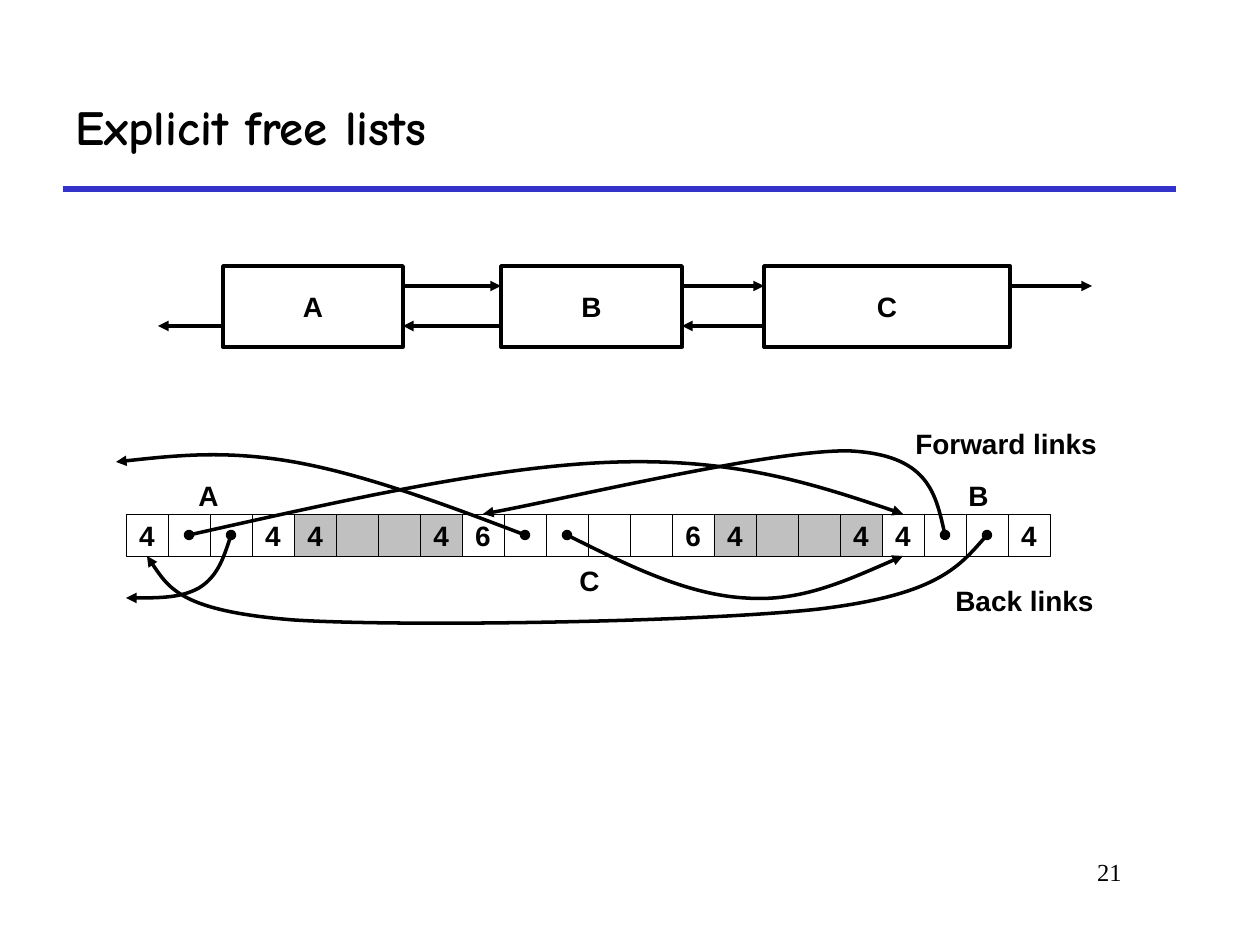
from lxml.etree import SubElement
from pptx import Presentation
from pptx.dml.color import RGBColor
from pptx.enum.shapes import MSO_CONNECTOR, MSO_SHAPE
from pptx.enum.text import MSO_ANCHOR, PP_ALIGN
from pptx.oxml.ns import qn
from pptx.util import Emu, Pt

SCALE = 914400 / 126  # EMU per px
BLACK, WHITE, GRAY, BLUE = "000000", "FFFFFF", "C0C0C0", "3333CC"

CELL = 42
ROW_LEFT, ROW_TOP = 126, 514
ROW_MIDDLE, ROW_BOTTOM = ROW_TOP + CELL // 2, ROW_TOP + CELL

# Memory blocks in address order: number of words, fill
BLOCKS = [(4, WHITE), (4, GRAY), (6, WHITE), (4, GRAY), (4, WHITE)]

# List nodes: label, left, width
NODES = [("A", 223, 180), ("B", 501, 181), ("C", 764, 246)]
NODE_TOP, NODE_HEIGHT = 266, 81
NEXT_Y, PREVIOUS_Y = 286, 326

# Bezier links: start, then two control points and an end for each segment
LINKS = [
    [(189, ROW_MIDDLE), (345, 500), (500, 465), (620, 462),
     (738, 459), (820, 486), (903, ROW_TOP)],
    [(945, ROW_MIDDLE), (936, 495), (927, 455), (850, 451),
     (774, 449), (544, 504), (483, ROW_TOP)],
    [(987, ROW_MIDDLE), (960, 566), (935, 595), (819, 609),
     (703, 622), (406, 627), (294, 620),
     (181, 611), (165, 583), (147, ROW_BOTTOM)],
    [(567, ROW_MIDDLE), (629, 566), (689, 595), (746, 598),
     (801, 602), (852, 578), (903, ROW_BOTTOM)],
    [(525, ROW_MIDDLE), (444, 504), (362, 474), (294, 462),
     (226, 450), (170, 456), (116, 462)],
    [(231, ROW_MIDDLE), (224, 557), (217, 577), (199, 588),
     (181, 598), (154, 598), (126, 598)],
]

LABELS = [
    ("Forward links", 903, 420, 207), ("Back links", 943, 577, 163),
    ("A", 186, 472, 45), ("B", 956, 472, 45), ("C", 567, 557, 45),
]


def px(value):
    return Emu(round(value * SCALE))


def color(value):
    return RGBColor.from_string(value)


def set_text(shape, text, size=16, font="Arial", bold=True,
             align=PP_ALIGN.CENTER, anchor=MSO_ANCHOR.MIDDLE, wrap=False):
    frame = shape.text_frame
    frame.word_wrap = wrap
    frame.vertical_anchor = anchor
    paragraph = frame.paragraphs[0]
    paragraph.text = text
    paragraph.alignment = align
    paragraph.font.name = font
    paragraph.font.size = Pt(size)
    paragraph.font.bold = bold
    paragraph.font.color.rgb = color(BLACK)


def add_text(slide, text, left, top, width, height, **style):
    shape = slide.shapes.add_textbox(px(left), px(top), px(width), px(height))
    set_text(shape, text, **style)


def add_box(slide, text, left, top, width, height, fill, line_width):
    shape = slide.shapes.add_shape(
        MSO_SHAPE.RECTANGLE, px(left), px(top), px(width), px(height))
    shape.shadow.inherit = False
    shape.fill.solid()
    shape.fill.fore_color.rgb = color(fill)
    shape.line.color.rgb = color(BLACK)
    shape.line.width = Pt(line_width)
    if text:
        set_text(shape, text)


def add_ends(shape, **ends):
    line = shape.element.xpath(".//a:ln")[0]
    for end, kind in ends.items():
        SubElement(line, qn(f"a:{end}"), type=kind)


def add_line(slide, start_x, end_x, y, line_color=BLACK, width=2):
    connector = slide.shapes.add_connector(
        MSO_CONNECTOR.STRAIGHT, px(start_x), px(y), px(end_x), px(y))
    connector.line.color.rgb = color(line_color)
    connector.line.width = Pt(width)
    SubElement(connector.element.spPr, qn("a:effectLst"))
    return connector


def add_arrow(slide, start_x, end_x, y):
    add_ends(add_line(slide, start_x, end_x, y), tailEnd="triangle")


def add_curve(slide, points):
    builder = slide.shapes.build_freeform(*points[0], scale=SCALE)
    builder.add_line_segments(points[1:], close=False)
    shape = builder.convert_to_shape()
    # Turn each three straight segments into one Bezier segment
    segments = shape.element.xpath(".//a:lnTo")
    for first in range(0, len(segments), 3):
        curve = SubElement(segments[first].getparent(), qn("a:cubicBezTo"))
        for segment in segments[first:first + 3]:
            curve.append(segment[0])
            segment.getparent().remove(segment)
    shape.shadow.inherit = False
    shape.fill.background()
    shape.line.color.rgb = color(BLACK)
    shape.line.width = Pt(2)
    add_ends(shape, headEnd="oval", tailEnd="triangle")


def add_list(slide):
    for label, left, width in NODES:
        add_box(slide, label, left, NODE_TOP, width, NODE_HEIGHT, WHITE, 2)
    for (_, left, width), (_, next_left, _) in zip(NODES, NODES[1:]):
        add_arrow(slide, left + width, next_left, NEXT_Y)
        add_arrow(slide, next_left, left + width, PREVIOUS_Y)
    _, last_left, last_width = NODES[-1]
    add_arrow(slide, last_left + last_width, 1092, NEXT_Y)
    add_arrow(slide, NODES[0][1], 158, PREVIOUS_Y)


def add_memory(slide):
    left = ROW_LEFT
    for words, fill in BLOCKS:
        for word in range(words):
            text = str(words) if word in (0, words - 1) else ""
            add_box(slide, text, left, ROW_TOP, CELL, CELL, fill, 0.25)
            left += CELL


def main():
    presentation = Presentation()
    presentation.slide_width = px(1260)
    presentation.slide_height = px(945)
    slide = presentation.slides.add_slide(presentation.slide_layouts[6])

    # Title, rule and page number
    add_line(slide, 63, 1176, 189, BLUE, 3)
    add_text(slide, "21", 955, 851, 179, 63, size=14, font="Times New Roman",
             bold=False, align=PP_ALIGN.RIGHT, anchor=MSO_ANCHOR.TOP, wrap=True)
    add_text(slide, "Explicit free lists", 63, 63, 1113, 126, size=28,
             font="Comic Neue", align=PP_ALIGN.LEFT, wrap=True)

    # Logical list above, memory layout below
    add_list(slide)
    add_memory(slide)
    for points in LINKS:
        add_curve(slide, points)
    for text, left, top, width in LABELS:
        add_text(slide, text, left, top, width, 47,
                 align=PP_ALIGN.LEFT, anchor=MSO_ANCHOR.TOP)

    presentation.save("out.pptx")


if __name__ == "__main__":
    main()
